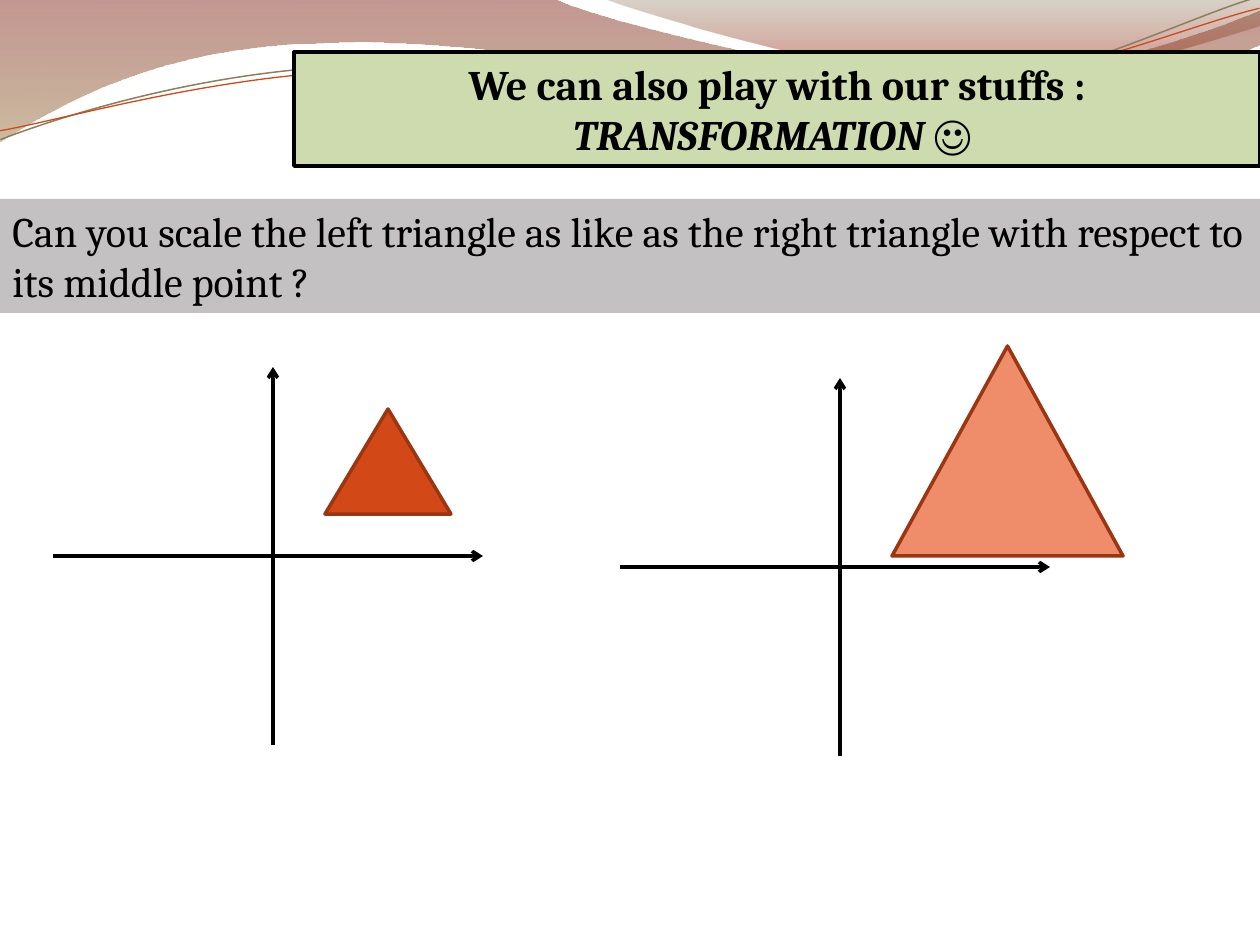
"""Build the slide on scaling a triangle about its middle point."""
from dataclasses import dataclass
from itertools import chain

from lxml.etree import SubElement
from pptx import Presentation
from pptx.dml.color import RGBColor
from pptx.enum.shapes import MSO_CONNECTOR as Connector, MSO_SHAPE as Preset
from pptx.enum.text import MSO_ANCHOR as Anchor, PP_ALIGN as Align
from pptx.oxml.ns import qn
from pptx.util import Inches, Pt

PIXEL = Inches(10) / 1260


@dataclass(frozen=True)
class Theme:
    font: str = "Cambria"
    size: int = 24
    ink: str = "000000"
    title_fill: str = "CDDBAF"
    question_fill: str = "C3C1C1"
    triangle: str = "D34817"
    scaled: str = "EF8C6A"
    triangle_edge: str = "9C3511"
    wave_top: tuple = ((0, "7C1A0E", 45), (1, "A18552", 55))
    wave_right: tuple = ((0, "7E6B48", 30), (0.8, "9F1705", 45))
    strand_tan: str = "8F7D5E"
    strand_red: str = "D34817"
    edge: float = 2
    frame: float = 2.25


THEME = Theme()

WAVES = [
    ((0, 0), [
        [(554, -1)],
        [(600, 21), (837, 79), (955, 79)],
        [(1075, 79), (1207, 33), (1260, 11)],
        [(1261, 45)],
        [(1238, 55), (1096, 96), (940, 95)],
        [(784, 95), (481, 35), (324, 43)],
        [(162, 45), (58, 105), (-1, 142)],
        [(0, 0)],
    ], THEME.wave_top),
    ((604, -1), [
        [(641, 14), (859, 78), (969, 82)],
        [(1079, 87), (1211, 40), (1260, 26)],
        [(1260, 0)],
        [(604, -1)],
    ], THEME.wave_right),
]
STRANDS = [
    ((-2, 110), [
        [(58, 90), (199, 52), (350, 53)],
        [(499, 53), (745, 117), (896, 114)],
        [(1049, 109), (1184, 45), (1260, 27)],
    ], THEME.strand_tan, 0.85),
    ((-2, 101), [
        [(57, 94), (207, 57), (357, 58)],
        [(509, 58), (751, 112), (903, 108)],
        [(1052, 104), (1188, 52), (1262, 38)],
    ], THEME.strand_red, 0.75),
]
STRAND_TILT = 357.3
TITLE = [("We can also play with our stuffs : ", None), ("TRANSFORMATION", True), (" ☺ ", False)]
QUESTION = [("Can you scale the left triangle as like as the right triangle "
             "with respect to its middle point ? ", None)]
ORIGINS = [(273, 556), (840, 567)]
AXIS_LEFT, AXIS_RIGHT, AXIS_HALF = 220, 210, 189


def emu(*pixels):
    return [round(value * PIXEL) for value in pixels]


def rgb(code):
    return RGBColor.from_string(code)


def set_line(shape, colour, width):
    shape.line.color.rgb = rgb(colour)
    shape.line.width = Pt(width)


def add_curve(page, start, segments, close):
    builder = page.shapes.build_freeform(*start, scale=PIXEL)
    builder.add_line_segments(list(chain(*segments)), close=close)
    shape = builder.convert_to_shape()
    shape.shadow.inherit = False
    outline = next(shape._element.iter(qn("a:path")))
    steps = iter(outline.findall(qn("a:lnTo")))
    for segment in segments:
        group = [next(steps) for _ in segment]
        if len(group) == 3:
            curve = SubElement(outline, qn("a:cubicBezTo"))
            group[0].addprevious(curve)
            for step in group:
                curve.append(step[0])
                outline.remove(step)
    return shape


def add_wave(page, start, segments, stops):
    wave = add_curve(page, start, segments, True)
    wave.line.fill.background()
    wave.fill.gradient()
    wave.fill.gradient_angle = 270
    for stop, (position, colour, _) in zip(wave.fill.gradient_stops, stops):
        stop.position = position
        stop.color.rgb = rgb(colour)
    for node, (_, _, opacity) in zip(wave._element.spPr.iter(qn("a:srgbClr")), stops):
        SubElement(node, qn("a:alpha"), val=str(opacity * 1000))


def add_strand(page, start, segments, colour, width):
    strand = add_curve(page, start, segments, False)
    strand.rotation = STRAND_TILT
    strand.fill.background()
    set_line(strand, colour, width)


def add_block(page, preset, place, fill, edge=None, width=THEME.edge):
    block = page.shapes.add_shape(preset, *emu(*place))
    block.shadow.inherit = False
    block.fill.solid()
    block.fill.fore_color.rgb = rgb(fill)
    if edge:
        set_line(block, edge, width)
    else:
        block.line.fill.background()
    return block


def write(box, spans, align, bold=None):
    box.text_frame.word_wrap = True
    box.text_frame.vertical_anchor = Anchor.MIDDLE
    para = box.text_frame.paragraphs[0]
    para.alignment = align
    para.font.name, para.font.size, para.font.bold = THEME.font, Pt(THEME.size), bold
    para.font.color.rgb = rgb(THEME.ink)
    for text, italic in spans:
        span = para.add_run()
        span.text = text
        span.font.italic = italic


def add_axis(page, start, end):
    axis = page.shapes.add_connector(Connector.STRAIGHT, *emu(*start, *end))
    set_line(axis, THEME.ink, THEME.edge)
    SubElement(axis._element.spPr.find(qn("a:ln")), qn("a:tailEnd"), type="arrow")
    SubElement(axis._element.spPr, qn("a:effectLst"))


deck = Presentation()
deck.slide_width, deck.slide_height = Inches(10), Inches(7.5)
page = deck.slides.add_slide(deck.slide_layouts[6])

for wave in WAVES:
    add_wave(page, *wave)
for strand in STRANDS:
    add_strand(page, *strand)

add_block(page, Preset.ISOSCELES_TRIANGLE, (892, 346, 231, 210), THEME.scaled, THEME.triangle_edge)
title = add_block(page, Preset.RECTANGLE, (294, 52, 966, 114), THEME.title_fill, THEME.ink, THEME.frame)
write(title, TITLE, Align.CENTER, True)
question = add_block(page, Preset.RECTANGLE, (0, 199, 1260, 114), THEME.question_fill)
write(question, QUESTION, Align.LEFT)

for x, y in ORIGINS:
    add_axis(page, (x - AXIS_LEFT, y), (x + AXIS_RIGHT, y))
    add_axis(page, (x, y + AXIS_HALF), (x, y - AXIS_HALF))
add_block(page, Preset.ISOSCELES_TRIANGLE, (325, 409, 126, 105), THEME.triangle, THEME.triangle_edge)

deck.save("out.pptx")
